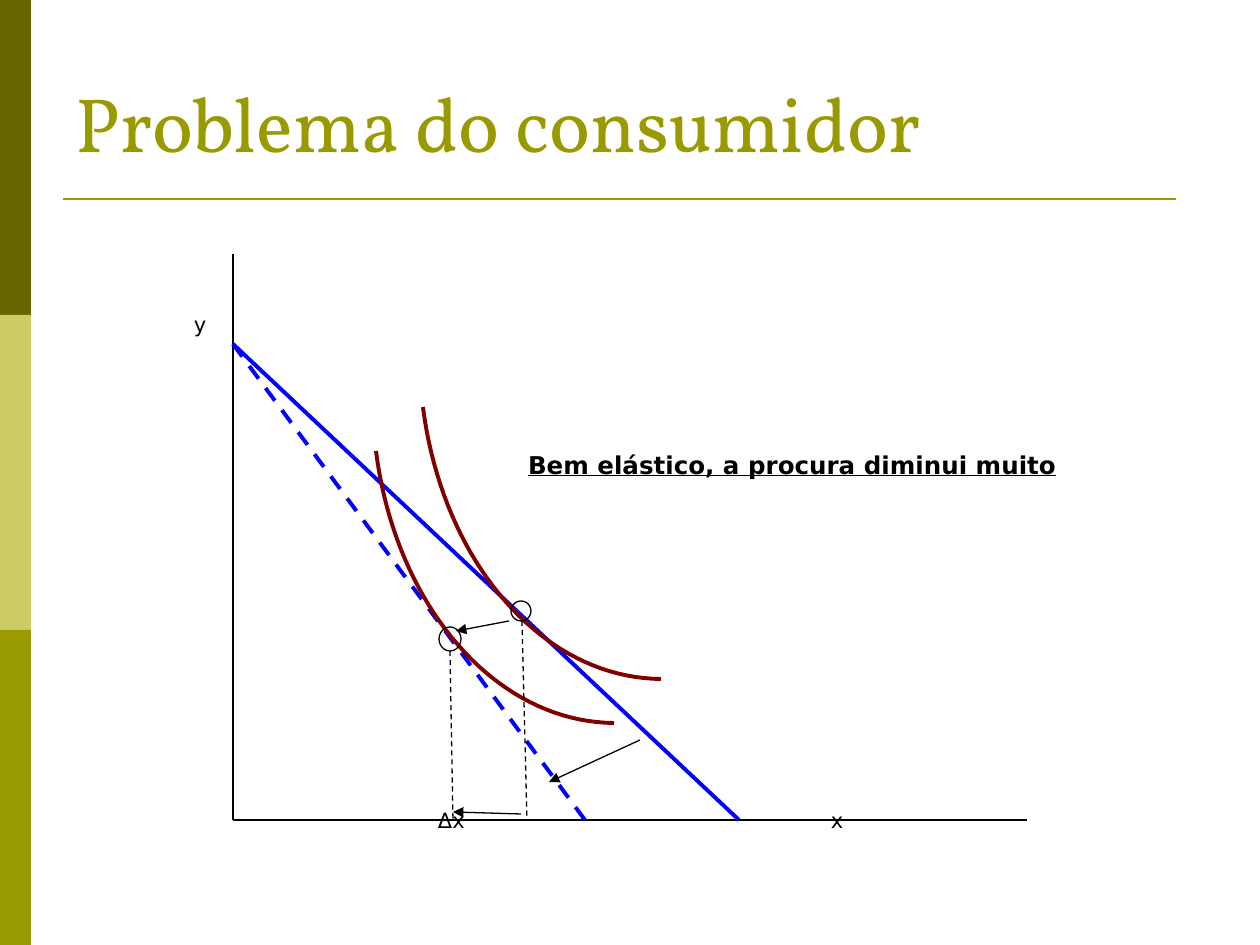
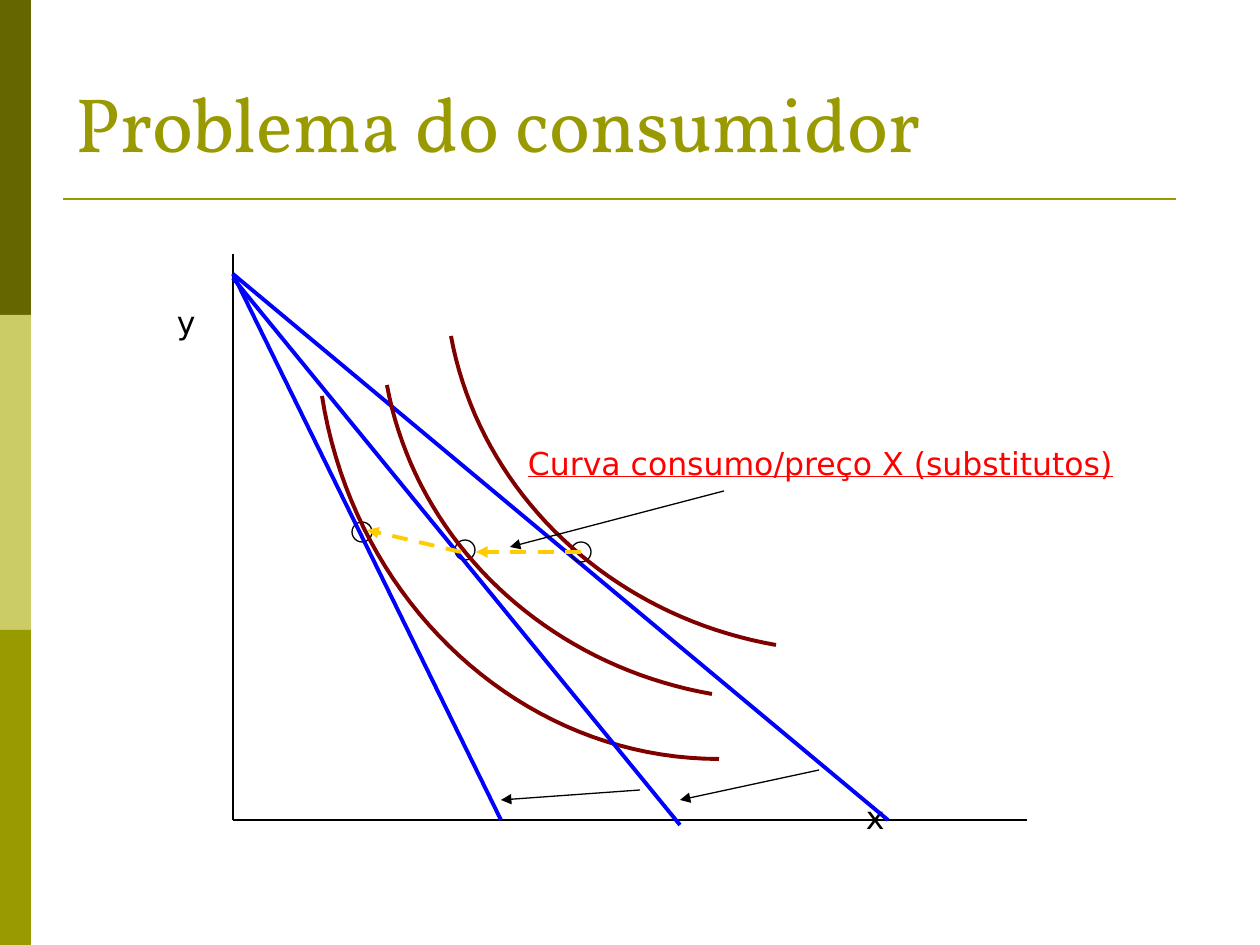
from pptx import Presentation
from pptx.dml.color import RGBColor
from pptx.enum.dml import MSO_LINE
from pptx.enum.shapes import MSO_CONNECTOR, MSO_SHAPE
from pptx.enum.text import MSO_ANCHOR
from pptx.oxml.ns import qn
from pptx.util import Pt
from lxml.etree import SubElement

SCALE = 914400 / 126
HUES = {
    "dark": "666600", "pale": "CCCC66", "olive": "999900",
    "black": "000000", "blue": "0000FF", "wine": "800000",
    "gold": "FFCC00", "red": "FF0000",
}
SANS = "DejaVu Sans"
SERIF = "Vollkorn"
THIN = {"width": Pt(0.75)}
RULE = {"width": Pt(1.5)}
THICK = {"width": Pt(2.25)}
DASH = {"dash_style": MSO_LINE.DASH}


def emu(*vals):
    return [round(val * SCALE) for val in vals]


def hue(name):
    return RGBColor.from_string(HUES[name])


def apply(item, vals):
    for key, val in vals.items():
        setattr(item, key, val)


def stroke(shape, color, form):
    shape.line.color.rgb = hue(color)
    apply(shape.line, form)


def line(slide, start, end, color="black", form=THIN, arrow=False):
    link = slide.shapes.add_connector(MSO_CONNECTOR.STRAIGHT, *emu(*start, *end))
    stroke(link, color, form)
    if arrow:
        SubElement(link.line._get_or_add_ln(), qn("a:tailEnd"), type="triangle")
    SubElement(link._element.spPr, qn("a:effectLst"))


def band(slide, top, color):
    shape = slide.shapes.add_shape(MSO_SHAPE.RECTANGLE, *emu(0, top, 31, 315))
    shape.shadow.inherit = False
    shape.fill.solid()
    shape.fill.fore_color.rgb = hue(color)
    shape.line.fill.background()


def ring(slide, left, top, wide=20, high=20):
    shape = slide.shapes.add_shape(MSO_SHAPE.OVAL, *emu(left, top, wide, high))
    shape.shadow.inherit = False
    shape.fill.background()
    stroke(shape, "black", THIN)


def curve(slide, knots, shift=(0, 0), steps=40):
    dots = []
    for step in range(steps + 1):
        t = step / steps
        parts = ((1 - t) ** 3, 3 * t * (1 - t) ** 2, 3 * t * t * (1 - t), t ** 3)
        dots.append(emu(*(
            shift[i] + sum(p * knot[i] for p, knot in zip(parts, knots))
            for i in (0, 1)
        )))
    pen = slide.shapes.build_freeform(*dots[0])
    pen.add_line_segments(dots[1:], close=False)
    shape = pen.convert_to_shape()
    shape.shadow.inherit = False
    shape.fill.background()
    stroke(shape, "wine", THICK)


def write(slide, text, area, frame, font, color):
    box = slide.shapes.add_textbox(*emu(*area)).text_frame
    apply(box, {"word_wrap": True, **frame})
    run = box.paragraphs[0].add_run()
    run.text = text
    apply(run.font, font)
    run.font.color.rgb = hue(color)


def label(slide, text, left, base, size, wide=50, color="black", **font):
    unit = size * 1.75
    edges = ("margin_left", "margin_right", "margin_top", "margin_bottom")
    write(slide, text, (left, base - 0.93 * unit, wide, 1.17 * unit),
          dict.fromkeys(edges, 0),
          {"name": SANS, "size": Pt(size), **font}, color)


def base(deck):
    slide = deck.slides.add_slide(deck.slide_layouts[6])
    for row, color in enumerate(("dark", "pale", "olive")):
        band(slide, row * 315, color)
    line(slide, (63, 199), (1176, 199), "olive", RULE)
    write(slide, "Problema do consumidor", (63, 16, 1134, 158),
          {"vertical_anchor": MSO_ANCHOR.BOTTOM},
          {"name": SERIF, "size": Pt(44)}, "olive")
    for end in ((1027, 820), (233, 254)):
        line(slide, (233, 820), end)
    return slide


def demand(deck):
    slide = base(deck)
    label(slide, "y", 194, 331, 12)
    label(slide, "Bem elástico, a procura diminui muito", 528, 473, 14, 560,
          bold=True, underline=True)
    label(slide, "Δx", 438, 827, 12)
    label(slide, "x", 831, 827, 12)
    knots = (661, 679), (543, 678), (443, 563), (423, 407)
    line(slide, (233, 344), (739, 820), "blue", THICK)
    curve(slide, knots)
    line(slide, (233, 344), (585, 820), "blue", {**THICK, **DASH})
    curve(slide, knots, (-47, 44))
    ring(slide, 511, 601)
    ring(slide, 439, 627, 22, 24)
    for start, end in (((522, 621), (527, 820)), ((450, 651), (453, 819))):
        line(slide, start, end, form={**THIN, **DASH})
    for start, end in (((640, 740), (549, 782)), ((509, 621), (456, 631)),
                       ((521, 814), (453, 812))):
        line(slide, start, end, arrow=True)


def price(deck):
    slide = base(deck)
    label(slide, "y", 177, 332, 18)
    label(slide, "Curva consumo/preço X (substitutos)", 528, 473, 18, 620,
          "red", underline=True)
    label(slide, "x", 866, 827, 18)
    line(slide, (233, 274), (888, 820), "blue", THICK)
    for left, top in ((571, 542), (352, 522), (455, 540)):
        ring(slide, left, top)
    curve(slide, ((719, 759), (523, 759), (355, 605), (322, 396)))
    knots = (776, 645), (610, 616), (480, 493), (451, 336)
    for shift in ((0, 0), (-64, 49)):
        curve(slide, knots, shift)
    for start, end in (((233, 278), (680, 825)), ((233, 274), (501, 820))):
        line(slide, start, end, "blue", THICK)
    for start, end in (((581, 552), (476, 552)), ((461, 552), (367, 530))):
        line(slide, start, end, "gold", {**THICK, **DASH}, True)
    for start, end in (((819, 770), (680, 800)), ((640, 790), (501, 800)),
                       ((724, 491), (510, 547))):
        line(slide, start, end, arrow=True)


def main():
    deck = Presentation()
    wide, high = emu(1260, 945)
    apply(deck, {"slide_width": wide, "slide_height": high})
    demand(deck)
    price(deck)
    deck.save("out.pptx")


main()
